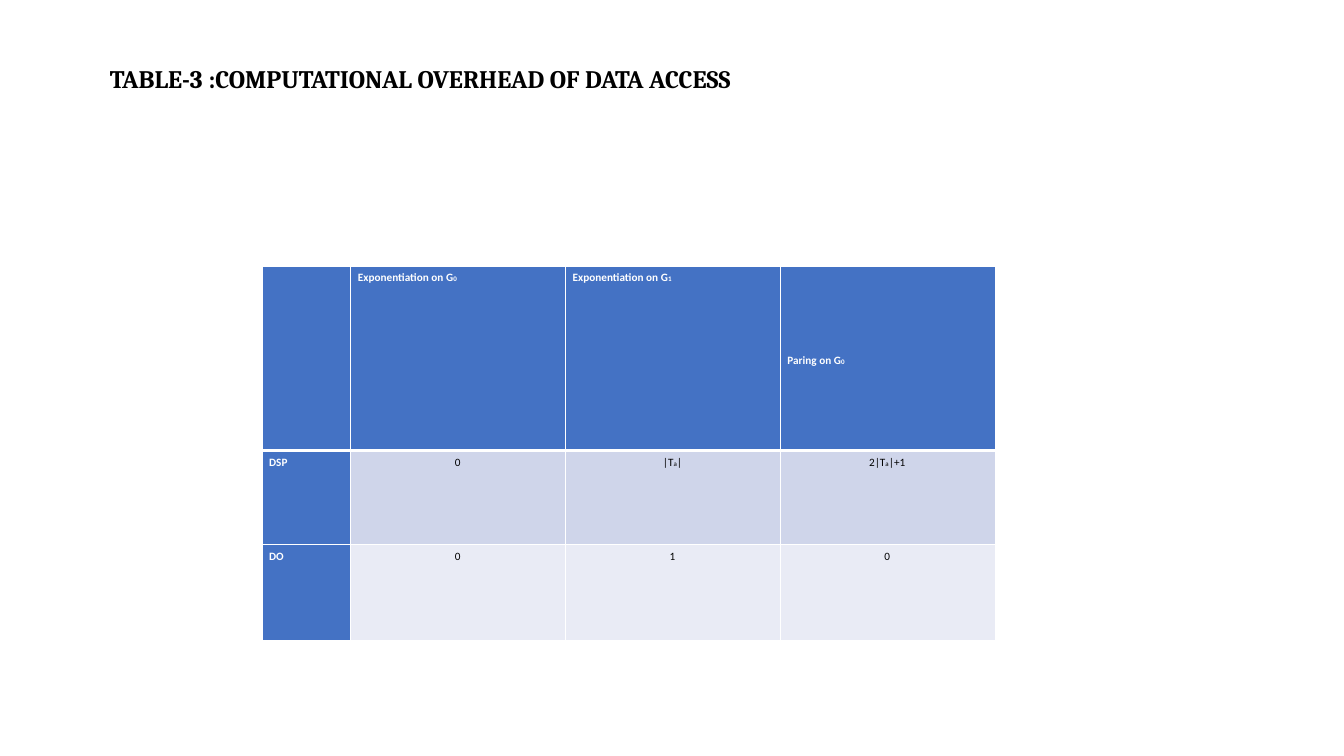
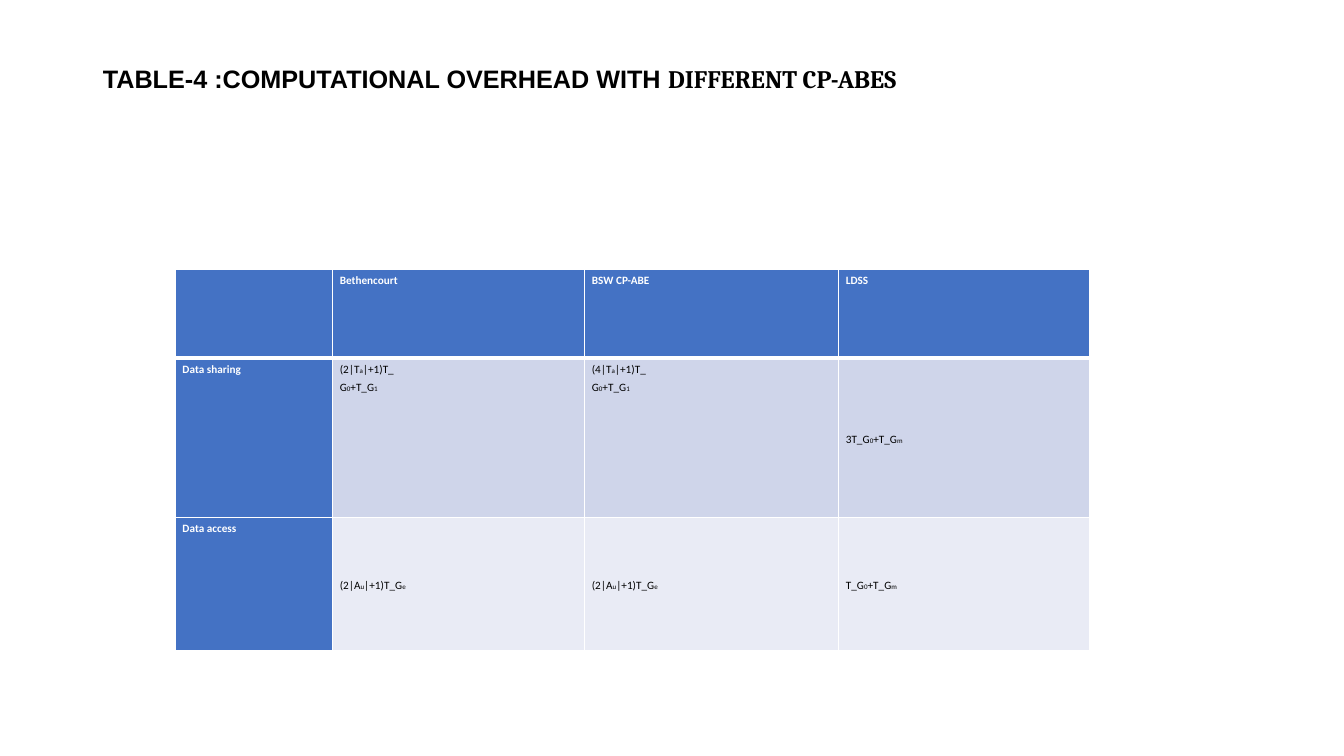
import dataclasses
from typing import Any

import pptx
import pptx.dml.color
import pptx.enum.text
import pptx.oxml
import pptx.oxml.ns
import pptx.util
from pptx.util import Inches, Pt

ALIGN = pptx.enum.text.PP_ALIGN
ANCHOR = pptx.enum.text.MSO_ANCHOR

ACCENT, WHITE, BLACK = "4472C4", "FFFFFF", "000000"
BANDS = ("CFD5EA", "E9EBF5")
LINE_SPACING = 1.07
SUBSCRIPT_MARK = "~"
TITLE_BOX = {"left": Inches(0.92), "top": Inches(0.4),
             "width": Inches(11.5), "height": Inches(1.45)}
CELL_MARGINS = {"margin_left": Inches(0.07), "margin_top": Inches(0.04),
                "margin_right": Inches(0.08), "margin_bottom": Inches(0)}


@dataclasses.dataclass
class TableSlide:
    """A titled table; a pair of marks encloses each subscript."""
    title: list[tuple[str, str]]
    title_inset: float
    left: float
    top: float
    cols: list[float]
    rows: list[float]
    cells: list[list[str]]
    middle: set[tuple[int, int]]
    body_align: Any


SLIDES = [
    TableSlide(
        title=[("TABLE-3 :COMPUTATIONAL OVERHEAD OF DATA ACCESS", "Cambria")],
        title_inset=0.17, left=2.6, top=2.64,
        cols=[0.88, 2.13, 2.13, 2.13], rows=[1.83, 0.93, 0.96],
        cells=[["", "Exponentiation on G~0~", "Exponentiation on G~1~", "Paring on G~0~"],
               ["DSP", "0", "|T~a~|", "2|T~a~|+1"],
               ["DO", "0", "1", "0"]],
        middle={(0, 3)}, body_align=ALIGN.CENTER),
    TableSlide(
        title=[("TABLE-4 :COMPUTATIONAL OVERHEAD WITH ", "Arial"),
               ("DIFFERENT CP-ABES", "Cambria")],
        title_inset=0.1, left=1.74, top=2.67,
        cols=[1.56, 2.5, 2.52, 2.49], rows=[0.88, 1.58, 1.32],
        cells=[["", "Bethencourt", "BSW CP-ABE", "LDSS"],
               ["Data sharing", "(2|T~a~|+1)T_\nG~0~+T_G~1~",
                "(4|T~a~|+1)T_\nG~0~+T_G~1~", "3T_G~0~+T_G~m~"],
               ["Data access", "(2|A~u~|+1)T_G~e~", "(2|A~u~|+1)T_G~e~",
                "T_G~0~+T_G~m~"]],
        middle={(1, 3), (2, 1), (2, 2), (2, 3)}, body_align=ALIGN.LEFT),
]


def rgb(color: str) -> pptx.dml.color.RGBColor:
    """Turn a hex string into a colour."""
    return pptx.dml.color.RGBColor.from_string(color)


def apply(target: Any, values: dict[str, Any]) -> None:
    """Set each named attribute on the target."""
    for name, value in values.items():
        setattr(target, name, value)


def add_run(p: Any, text: str, font: str, size: float, color: str, bold: bool) -> None:
    """Append a formatted run to a paragraph."""
    r = p.add_run()
    r.text = text
    apply(r.font, {"name": font, "size": Pt(size), "bold": bold})
    r.font.color.rgb = rgb(color)


def add_title(slide: Any, data: TableSlide) -> None:
    """Place and fill the title placeholder."""
    sp = slide.shapes.title
    apply(sp, TITLE_BOX)
    tf = sp.text_frame
    apply(tf, {"auto_size": pptx.enum.text.MSO_AUTO_SIZE.NONE, "word_wrap": True,
               "vertical_anchor": ANCHOR.MIDDLE, "margin_left": Inches(data.title_inset),
               "margin_bottom": Inches(0.76)})
    p = tf.paragraphs[0]
    apply(p, {"alignment": ALIGN.LEFT, "line_spacing": LINE_SPACING})
    for text, font in data.title:
        add_run(p, text, font, 18, BLACK, True)


def set_borders(cell: Any, widths: dict[str, float]) -> None:
    """Draw white borders; widths are points by side letter."""
    tc_pr = cell._tc.get_or_add_tcPr()
    for side, width in widths.items():
        tc_pr.append(pptx.oxml.parse_xml(
            f'<a:ln{side} {pptx.oxml.ns.nsdecls("a")} w="{Pt(width)}"><a:solidFill>'
            f'<a:srgbClr val="{WHITE}"/></a:solidFill></a:ln{side}>'))


def fill_text(cell: Any, text: str, align: Any, color: str, bold: bool) -> None:
    """Write cell lines, with subscripts in a smaller size."""
    lines = text.split("\n")
    tf = cell.text_frame
    for i, line in enumerate(lines):
        p = tf.add_paragraph() if i else tf.paragraphs[0]
        apply(p, {"alignment": align, "line_spacing": LINE_SPACING,
                  "space_after": Pt(8 if i == len(lines) - 1 else 2.2)})
        for j, part in enumerate(line.split(SUBSCRIPT_MARK)):
            if part:
                add_run(p, part, "Calibri", 5 if j % 2 else 8, color, bold)


def add_table(slide: Any, data: TableSlide) -> None:
    """Draw the table with its header row, header column and bands."""
    table = slide.shapes.add_table(
        len(data.rows), len(data.cols), Inches(data.left), Inches(data.top),
        Inches(sum(data.cols)), Inches(sum(data.rows))).table
    for column, width in zip(table.columns, data.cols):
        column.width = Inches(width)
    for row, height in zip(table.rows, data.rows):
        row.height = Inches(height)
    for i, texts in enumerate(data.cells):
        for j, text in enumerate(texts):
            cell = table.cell(i, j)
            header = i == 0 or j == 0
            apply(cell, CELL_MARGINS)
            cell.vertical_anchor = ANCHOR.MIDDLE if (i, j) in data.middle else ANCHOR.TOP
            set_borders(cell, {"L": 1, "R": 1, "T": 3 if i == 1 else 1,
                               "B": 3 if i == 0 else 1})
            cell.fill.solid()
            cell.fill.fore_color.rgb = rgb(ACCENT if header else BANDS[(i - 1) % 2])
            fill_text(cell, text, ALIGN.LEFT if header else data.body_align,
                      WHITE if header else BLACK, header)


def main() -> None:
    """Build and save the presentation."""
    prs = pptx.Presentation()
    apply(prs, {"slide_width": Inches(13.33), "slide_height": Inches(7.5)})
    for data in SLIDES:
        slide = prs.slides.add_slide(prs.slide_layouts[5])
        add_title(slide, data)
        add_table(slide, data)
    prs.save("out.pptx")


main()
